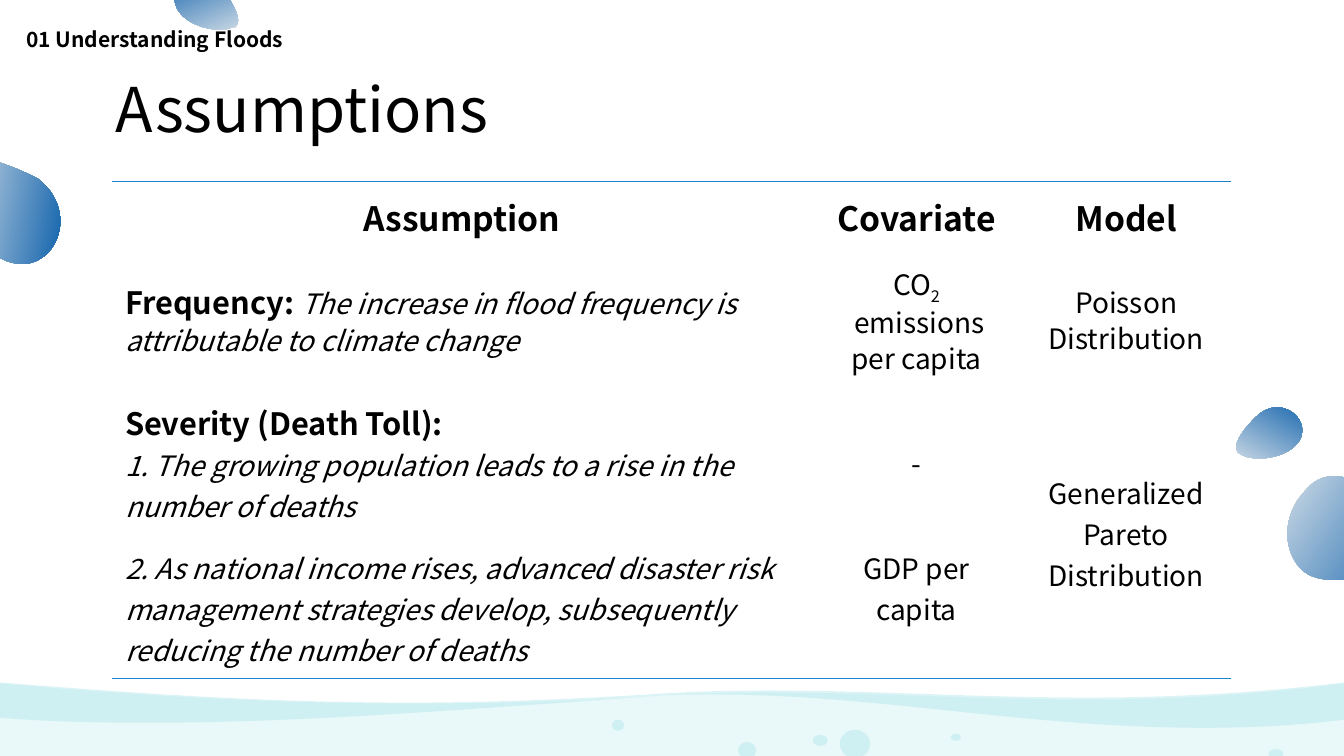
import math

from lxml import etree
from pptx import Presentation, util as u
from pptx.dml.color import RGBColor
from pptx.enum import shapes, text
from pptx.oxml.ns import qn

BLACK = RGBColor(0x00, 0x00, 0x00)
AQUA = RGBColor(0xAA, 0xE4, 0xE9)
RULE_BLUE = RGBColor(0x1A, 0x84, 0xCD)
DROP_LIGHT = RGBColor(0xF0, 0xF0, 0xF0)
DROP_DARK = RGBColor(0x00, 0x58, 0xA7)
FONT = "Noto Sans CJK SC"

# Outlines: one point is a straight step, three points are a cubic curve
DEEP_WAVE = [
    [(0, 6.78)], [(0, 8.55)], [(13.33, 8.55)], [(13.33, 6.78)],
    [(12.42, 6.9), (11.58, 6.94), (10.79, 6.94)],
    [(9.69, 6.94), (8.67, 6.87), (7.64, 6.87)],
    [(7.24, 6.87), (6.84, 6.88), (6.43, 6.91)],
    [(5.6, 6.96), (4.82, 6.98), (4.08, 6.98)],
    [(2.59, 6.98), (1.26, 6.89), (0, 6.78)]]
CREST_WAVE = [
    [(0, 6.77)], [(0, 7.12)],
    [(0.48, 7.16), (0.98, 7.17), (1.48, 7.17)],
    [(2.97, 7.17), (4.58, 7.04), (6.43, 6.91)],
    [(6.66, 6.89), (6.89, 6.89), (7.12, 6.89)],
    [(8.69, 6.89), (10.19, 7.22), (11.93, 7.22)],
    [(12.38, 7.22), (12.85, 7.2), (13.33, 7.14)],
    [(13.33, 6.77)],
    [(12.42, 6.88), (11.58, 6.92), (10.79, 6.92)],
    [(9.69, 6.92), (8.67, 6.85), (7.63, 6.85)],
    [(7.23, 6.85), (6.83, 6.86), (6.42, 6.89)],
    [(5.59, 6.94), (4.81, 6.97), (4.07, 6.97)],
    [(2.59, 6.97), (1.26, 6.87), (0, 6.77)]]
BUBBLES = [(8.33, 7.24, 0.3, 0.28), (7.32, 7.36, 0.18, 0.17),
           (6.07, 7.14, 0.12, 0.11), (8.06, 7.29, 0.15, 0.11),
           (9.43, 7.28, 0.1, 0.07), (12.58, 7.43, 0.15, 0.11)]
# Rotation, frame and turned outline of each drop
DROPS = [
    (30.5, (12.28, 4, 0.6, 0.62), [
        [(12.8, 4.08)],
        [(12.72, 4.03), (12.61, 4.02), (12.5, 4.1)],
        [(12.46, 4.13), (12.17, 4.4), (12.29, 4.5)],
        [(12.29, 4.5), (12.3, 4.5), (12.31, 4.51)],
        [(12.44, 4.59), (12.78, 4.55), (12.89, 4.37)],
        [(12.95, 4.26), (12.9, 4.14), (12.8, 4.08)]]),
    (336.2, (1.76, -0.27, 0.6, 0.62), [
        [(1.87, -0.21)],
        [(1.96, -0.25), (2.07, -0.24), (2.17, -0.15)],
        [(2.2, -0.12), (2.45, 0.19), (2.33, 0.27)],
        [(2.32, 0.27), (2.32, 0.27), (2.31, 0.27)],
        [(2.17, 0.34), (1.83, 0.26), (1.75, 0.07)],
        [(1.7, -0.05), (1.76, -0.16), (1.87, -0.21)]]),
    (100.7, (-0.49, 1.47, 1.1, 1.14), [
        [(0.59, 2.28)],
        [(0.62, 2.11), (0.56, 1.91), (0.37, 1.77)],
        [(0.29, 1.73), (-0.36, 1.4), (-0.45, 1.66)],
        [(-0.45, 1.67), (-0.45, 1.68), (-0.46, 1.69)],
        [(-0.51, 1.97), (-0.24, 2.54), (0.14, 2.61)],
        [(0.37, 2.66), (0.55, 2.49), (0.59, 2.28)]]),
    (123.3, (12.75, 4.71, 1.18, 1.14), [
        [(13.89, 5.48)],
        [(13.95, 5.39), (13.96, 5.29), (13.9, 5.16)],
        [(13.78, 4.94), (13.28, 4.54), (12.99, 4.82)],
        [(12.94, 4.87), (12.9, 4.92), (12.87, 4.96)],
        [(12.7, 5.23), (12.76, 5.51), (12.92, 5.66)],
        [(13.12, 5.84), (13.71, 5.75), (13.89, 5.48)]])]

# Table content: each cell is a list of paragraphs, each a list of (words, format)
HEAD = dict(size=24, bold=True)
LABEL = dict(size=22, bold=True)
CLAIM = dict(size=20, italic=True)
PLAIN = dict(size=20)
ROWS = [
    [[[("Assumption", HEAD)]], [[("Covariate", HEAD)]], [[("Model", HEAD)]]],
    [[[("Frequency: ", LABEL),
       ("The increase in flood frequency is attributable to climate change", CLAIM)]],
     [[("CO", PLAIN), ("2", dict(size=20, baseline=-25))],
      [(" emissions per capita", PLAIN)]],
     [[("Poisson Distribution", PLAIN)]]],
    [[[("Severity (Death Toll):", LABEL)],
      [("1. The growing population leads to a rise in the number of deaths", CLAIM)]],
     [[("-", PLAIN)]],
     [[("Generalized Pareto Distribution", PLAIN)]]],
    [[[("2. As national income rises, advanced disaster risk management strategies "
        "develop, subsequently reducing the number of deaths", CLAIM)]],
     [[("GDP per capita", PLAIN)]]]]


def write(paragraph, words, size=20, bold=False, italic=False, baseline=0):
    run = paragraph.add_run()
    run.text = words
    font = run.font
    font.name, font.size = FONT, u.Pt(size)
    font.bold, font.italic = bold, italic
    font.color.rgb = BLACK
    if baseline:
        run._r.get_or_add_rPr().set("baseline", str(baseline * 1000))


def turn(point, centre, degrees):
    angle = math.radians(degrees)
    dx, dy = point[0] - centre[0], point[1] - centre[1]
    return (centre[0] + dx * math.cos(angle) - dy * math.sin(angle),
            centre[1] + dx * math.sin(angle) + dy * math.cos(angle))


class FloodSlide:
    def __init__(self, deck):
        self.slide = deck.slides.add_slide(deck.slide_layouts[5])
        self.shapes = self.slide.shapes

    def title(self, words, *box):
        title = self.shapes.title
        title.left, title.top, title.width, title.height = map(u.Inches, box)
        frame = title.text_frame
        frame.margin_left = frame.margin_right = u.Inches(0.1)
        frame.margin_top = frame.margin_bottom = u.Inches(0.1)
        frame.vertical_anchor = text.MSO_ANCHOR.MIDDLE
        frame.auto_size = text.MSO_AUTO_SIZE.NONE
        paragraph = frame.paragraphs[0]
        paragraph.alignment, paragraph.line_spacing = text.PP_ALIGN.LEFT, 0.9
        write(paragraph, words, size=44)

    def label(self, words, *box):
        frame = self.shapes.add_textbox(*map(u.Inches, box)).text_frame
        frame.word_wrap = False
        write(frame.paragraphs[0], words, size=15, bold=True)

    def outline(self, steps, box):
        """Draw a closed outline in the given frame, with true curves."""
        ends = [tuple(map(u.Inches, step[-1])) for step in steps]
        builder = self.shapes.build_freeform(*ends[0])
        builder.add_line_segments(ends[1:], close=True)
        shape = builder.convert_to_shape()
        shape.left, shape.top, shape.width, shape.height = map(u.Inches, box)
        track = next(shape._element.iter(qn("a:path")))
        track.set("w", str(shape.width))
        track.set("h", str(shape.height))
        for old, step in zip(list(track), steps):
            kind = "cubicBezTo" if len(step) == 3 else etree.QName(old).localname
            new = etree.Element(qn("a:" + kind))
            for x, y in step:
                etree.SubElement(new, qn("a:pt"), x=str(u.Inches(x) - shape.left),
                                 y=str(u.Inches(y) - shape.top))
            track.replace(old, new)
        return self.bare(shape)

    def bare(self, shape):
        shape.shadow.inherit = False
        shape.line.fill.background()
        return shape

    def water(self, shape, opacity):
        shape.fill.solid()
        shape.fill.fore_color.rgb = AQUA
        color = shape._element.spPr.find(qn("a:solidFill"))[0]
        etree.SubElement(color, qn("a:alpha")).set("val", str(opacity * 1000))

    def wave(self, steps, box, opacity):
        self.water(self.outline(steps, box), opacity)

    def bubble(self, *box):
        oval = self.shapes.add_shape(shapes.MSO_SHAPE.OVAL, *map(u.Inches, box))
        self.water(self.bare(oval), 40)

    def drop(self, rotation, box, steps):
        centre = (box[0] + box[2] / 2, box[1] + box[3] / 2)
        upright = [[turn(point, centre, -rotation) for point in step] for step in steps]
        drop = self.outline(upright, box)
        drop.rotation = rotation
        drop.fill.gradient()
        drop.fill.gradient_angle = 90
        for stop, color, place in zip(drop.fill.gradient_stops, (DROP_LIGHT, DROP_DARK), (0, 1)):
            stop.color.rgb, stop.position = color, place

    def borders(self, cell, ruled):
        props = cell._tc.get_or_add_tcPr()
        for i, side in enumerate("LRTB"):
            edge = etree.Element(qn("a:ln" + side), w=str(u.Pt(1)))
            if side in ruled:
                fill = etree.SubElement(edge, qn("a:solidFill"))
                etree.SubElement(fill, qn("a:srgbClr")).set("val", str(RULE_BLUE))
            else:
                etree.SubElement(edge, qn("a:noFill"))
            props.insert(i, edge)

    def table(self, rows, widths, heights, left, top):
        box = map(u.Inches, (left, top, sum(widths), sum(heights)))
        table = self.shapes.add_table(len(heights), len(widths), *box).table
        table.first_row = table.horz_banding = False
        for column, width in zip(table.columns, widths):
            column.width = u.Inches(width)
        for row, height in zip(table.rows, heights):
            row.height = u.Inches(height)
        table.cell(2, 2).merge(table.cell(3, 2))
        for r in range(len(heights)):
            for c in range(len(widths)):
                cell = table.cell(r, c)
                cell.fill.background()
                cell.vertical_anchor = text.MSO_ANCHOR.TOP if r == 3 else text.MSO_ANCHOR.MIDDLE
                cell.margin_left = cell.margin_right = u.Inches(0.13)
                cell.margin_top = cell.margin_bottom = u.Inches(0.1)
                self.borders(cell, {0: "TB", 3: "B"}.get(r, "B" if cell.is_merge_origin else ""))
                for i, runs in enumerate(rows[r][c] if c < len(rows[r]) else []):
                    frame = cell.text_frame
                    paragraph = frame.add_paragraph() if i else frame.paragraphs[0]
                    centred = r == 0 or c > 0
                    paragraph.alignment = text.PP_ALIGN.CENTER if centred else text.PP_ALIGN.LEFT
                    if r == 1:
                        paragraph.line_spacing = 0.9
                    for words, style in runs:
                        write(paragraph, words, **style)


def main():
    deck = Presentation()
    deck.slide_width, deck.slide_height = u.Inches(13.33), u.Inches(7.5)
    page = FloodSlide(deck)
    # Water and drops
    page.wave(DEEP_WAVE, (0, 6.78, 13.33, 1.76), 26)
    page.wave(CREST_WAVE, (0, 6.77, 13.33, 0.45), 40)
    for bubble in BUBBLES:
        page.bubble(*bubble)
    for drop in DROPS:
        page.drop(*drop)
    # Headings
    page.title("Assumptions", 1.05, 0.7, 11.23, 0.84)
    page.label("01 Understanding Floods", 0.16, 0.21, 2.75, 0.35)
    # Assumptions table
    page.table(ROWS, (6.94, 2.08, 2.08), (0.71, 1.34, 1.48, 1.4), 1.11, 1.8)
    deck.save("out.pptx")


if __name__ == "__main__":
    main()
